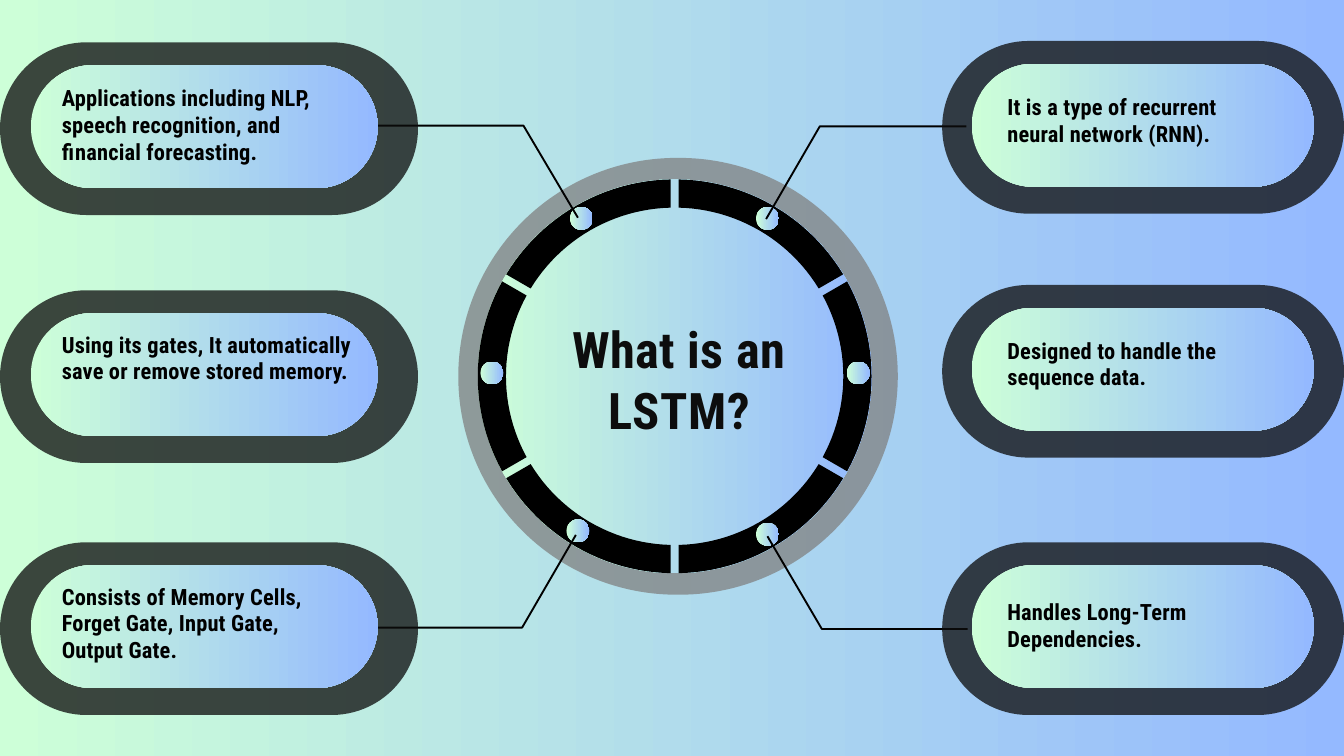
from math import asin, cos, radians, sin

from lxml import etree
from pptx import Presentation
from pptx.dml import color
from pptx.enum import shapes, text
from pptx.oxml import ns
from pptx.util import Inches, Pt

FONT = "Roboto Condensed"
OVAL = shapes.MSO_SHAPE.OVAL
PILL = shapes.MSO_SHAPE.ROUNDED_RECTANGLE
HUB = (10.04, 5.6)

LEFT = {"x": 0, "wide": 6.22, "inset": 0.46, "inner": 5.16, "text": 0.92}
RIGHT = {"x": 14.02, "wide": 5.98, "inset": 0.44, "inner": 5.09, "text": 14.99}
NOTES = [
    (RIGHT, 0.61, 1.39, 3.89, "It is a type of recurrent neural network (RNN)."),
    (RIGHT, 4.24, 5.01, 3.89, "Designed to handle the sequence data."),
    (RIGHT, 8.07, 8.9, 3.89, "Handles Long-Term Dependencies."),
    (LEFT, 8.07, 8.67, 4.09,
     "Consists of Memory Cells, Forget Gate, Input Gate, Output Gate."),
    (LEFT, 4.32, 4.92, 4.44,
     "Using its gates, It automatically save or remove stored memory."),
    (LEFT, 0.63, 1.25, 4.09,
     "Applications including NLP, speech recognition, and financial forecasting."),
]
DOTS = [(11.25, 3.08), (12.6, 5.38), (11.25, 7.78),
        (8.43, 7.73), (7.15, 5.38), (8.48, 3.08)]
LEADS = [
    [(11.4, 3.26), (12.2, 1.88), (14.38, 1.88)],
    [(11.42, 7.98), (12.23, 9.36), (14.4, 9.36)],
    [(8.6, 3.24), (7.79, 1.87), (5.62, 1.87)],
    [(8.57, 7.96), (7.77, 9.34), (5.6, 9.34)],
]


def rgb(code):
    return color.RGBColor.from_string(code)


def blend(fill):
    fill.gradient()
    fill.gradient_angle = 0
    for stop, code in zip(fill.gradient_stops, ("CDFFD8", "94B9FF")):
        stop.color.rgb = rgb(code)


def paint(shape, code, alpha=None):
    shape.shadow.inherit = False
    shape.line.fill.background()
    shape.fill.solid()
    shape.fill.fore_color.rgb = rgb(code)
    if alpha:
        tint = shape.element.spPr.find(".//" + ns.qn("a:srgbClr"))
        etree.SubElement(tint, ns.qn("a:alpha")).set("val", str(alpha * 1000))


def add_form(slide, kind, x, y, w, h, code=None, alpha=None):
    form = slide.shapes.add_shape(kind, Inches(x), Inches(y), Inches(w), Inches(h))
    if kind == PILL:
        form.adjustments[0] = 0.5
    if code:
        paint(form, code, alpha)
    else:
        form.shadow.inherit = False
        form.line.fill.background()
        blend(form.fill)


def add_path(slide, points, close):
    spots = [(Inches(x), Inches(y)) for x, y in points]
    pen = slide.shapes.build_freeform(*spots[0])
    pen.add_line_segments(spots[1:], close=close)
    return pen.convert_to_shape()


def add_arc(slide, mid, outer=2.93, inner=2.51, gap=0.06, steps=24):
    points = []
    for radius, way in ((outer, 1), (inner, -1)):
        half = radians(30) - asin(gap / radius)
        for i in range(steps + 1):
            turn = radians(mid) + way * half * (2 * i / steps - 1)
            points.append((HUB[0] + radius * cos(turn), HUB[1] + radius * sin(turn)))
    paint(add_path(slide, points, True), "000000")


def add_lead(slide, points):
    lead = add_path(slide, points, False)
    lead.shadow.inherit = False
    lead.fill.background()
    lead.line.color.rgb = rgb("000000")
    lead.line.width = Pt(2)


def write(box, words, size, lead, code, track, align):
    frame = box.text_frame
    frame.word_wrap = True
    frame.auto_size = text.MSO_AUTO_SIZE.NONE
    frame.vertical_anchor = text.MSO_ANCHOR.TOP
    frame.margin_left = frame.margin_right = 0
    frame.margin_top = frame.margin_bottom = 0
    para = frame.paragraphs[0]
    para.alignment = align
    para.line_spacing = Pt(lead)
    run = para.add_run()
    run.text = words
    run.font.name = FONT
    run.font.size = Pt(size)
    run.font.bold = True
    run.font.color.rgb = rgb(code)
    run.font._element.set("spc", str(track))


def add_note(slide, side, top, high, wide, words):
    add_form(slide, PILL, side["x"], top, side["wide"], 2.57, "0D0D0D", 76)
    add_form(slide, PILL, side["x"] + side["inset"], top + 0.34, side["inner"], 1.83)
    box = slide.shapes.add_textbox(
        Inches(side["text"]), Inches(high), Inches(wide), Inches(1.2))
    write(box, words, 24, 28.8, "000000", 20, text.PP_ALIGN.LEFT)


def add_hub(slide):
    add_form(slide, PILL, 6.82, 2.35, 6.54, 6.5, "808080", 74)
    add_form(slide, OVAL, HUB[0] - 2.93, HUB[1] - 2.93, 5.86, 5.86)
    for mid in range(0, 360, 60):
        add_arc(slide, mid)
    for x, y in DOTS:
        add_form(slide, OVAL, x, y, 0.34, 0.34)


def add_title(slide, words):
    title = slide.shapes.title
    title.left, title.top = Inches(8.01), Inches(4.74)
    title.width, title.height = Inches(4.19), Inches(1.87)
    write(title, words, 54, 64.8, "0D0D0D", 50, text.PP_ALIGN.CENTER)
    title.element.getparent().append(title.element)


def main():
    deck = Presentation()
    deck.slide_width, deck.slide_height = Inches(20), Inches(11.25)
    slide = deck.slides.add_slide(deck.slide_layouts[5])
    blend(slide.background.fill)
    add_hub(slide)
    for points in LEADS:
        add_lead(slide, points)
    for note in NOTES:
        add_note(slide, *note)
    add_title(slide, "What is an LSTM?")
    deck.save("out.pptx")


if __name__ == "__main__":
    main()
